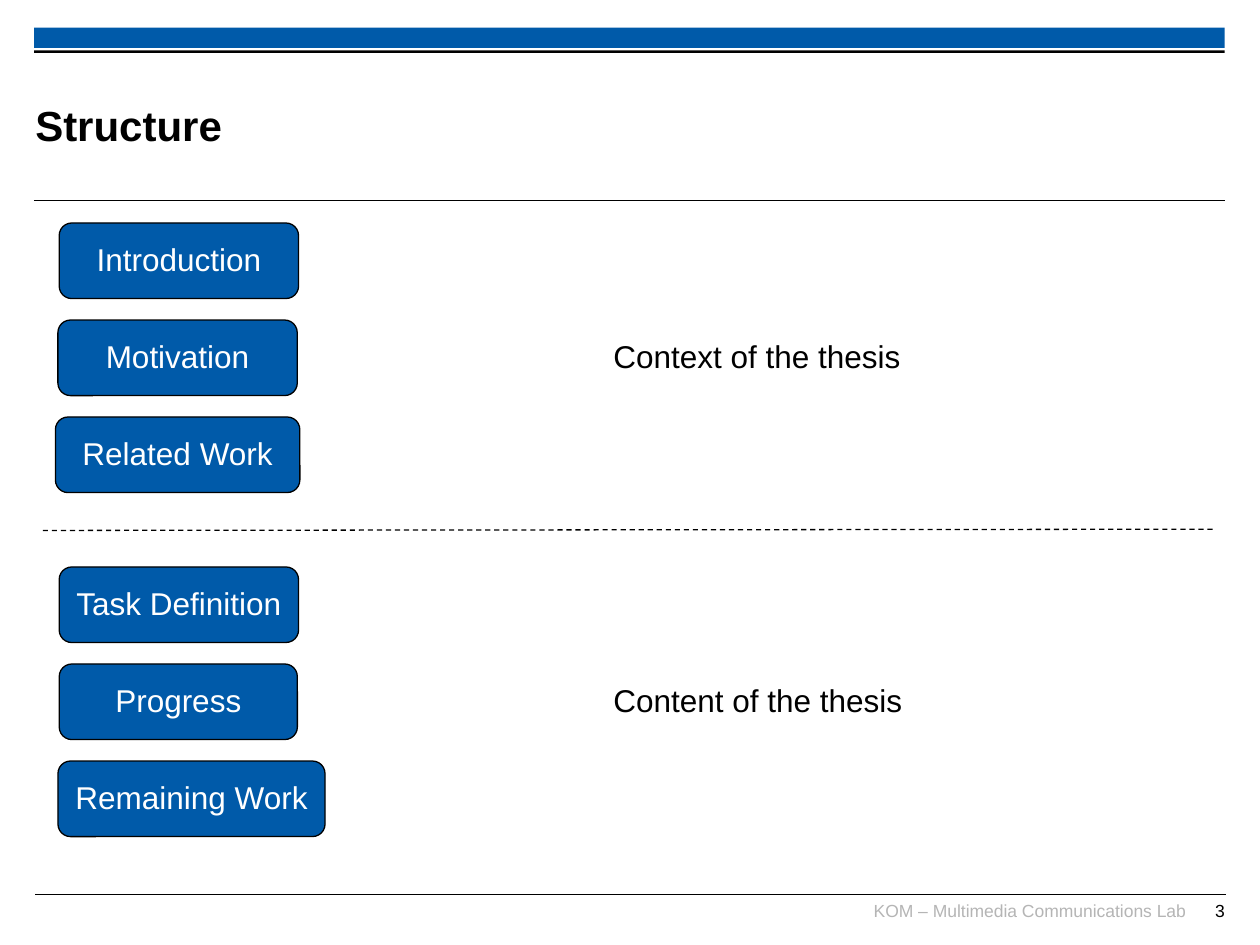
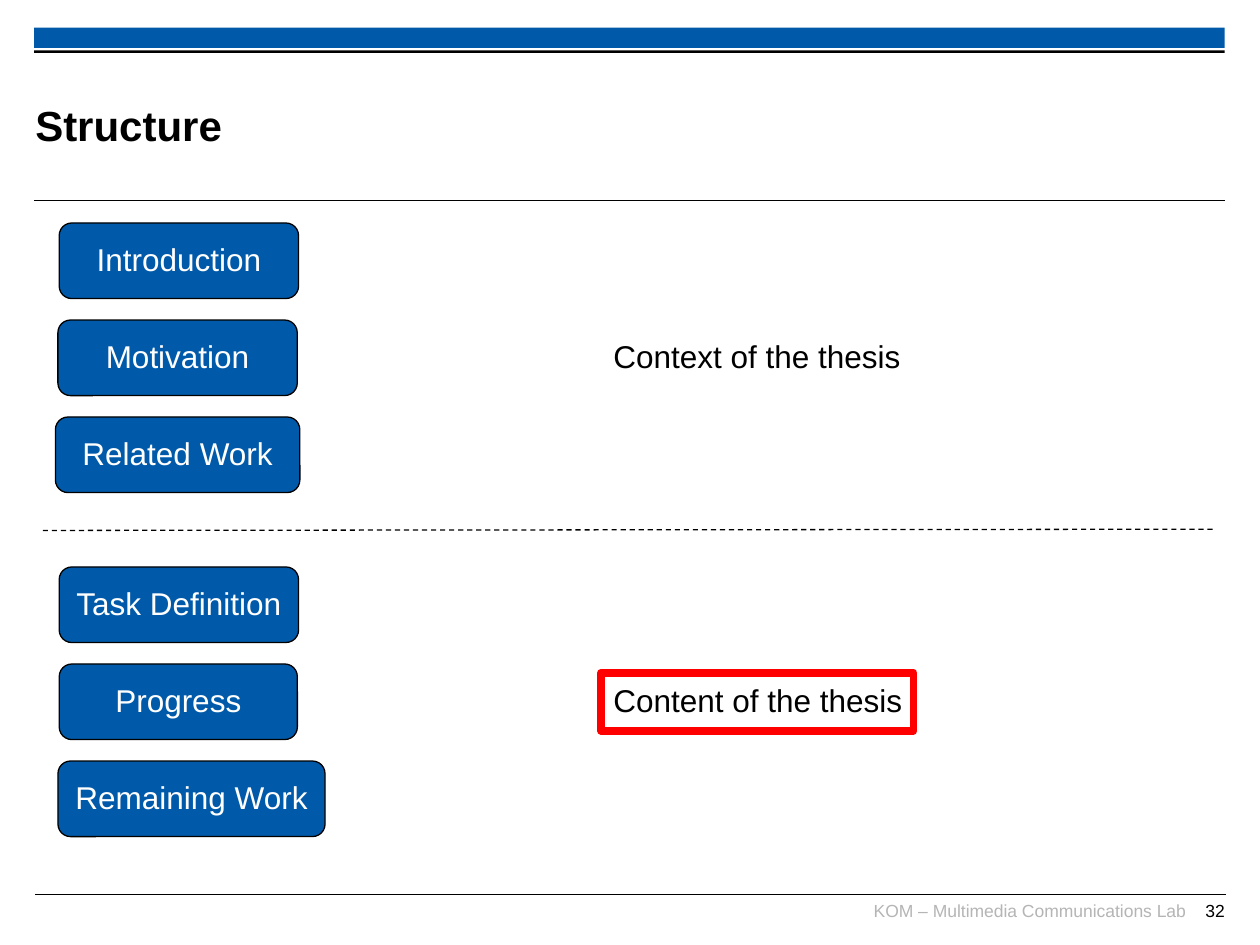
from dataclasses import dataclass

from lxml import etree
from pptx import Presentation, util as u
from pptx.dml.color import RGBColor
from pptx.enum import dml, shapes, text
from pptx.oxml.ns import qn

# Content
TITLE = "Structure"
LAB = "KOM – Multimedia Communications Lab"
# Each part: label, top of its first box, boxes as (name, left, width)
PARTS = [
    ("Context of the thesis", 1.77,
     [("Introduction", 0.47, 1.9), ("Motivation", 0.46, 1.9),
      ("Related Work", 0.44, 1.94)]),
    ("Content of the thesis", 4.5,
     [("Task Definition", 0.47, 1.9), ("Progress", 0.47, 1.89),
      ("Remaining Work", 0.46, 2.12)]),
]
# Each slide: page number, index of the framed part
SLIDES = [(3, None), (32, 1)]


@dataclass(frozen=True)
class Theme:
    font: str = "Arial"
    blue: str = "005AA9"
    black: str = "000000"
    white: str = "FFFFFF"
    grey: str = "B5B5B5"
    red: str = "FF0000"
    head: int = 24
    body: int = 18
    foot: int = 10
    rule: float = 0.6
    edge: float = 0.75
    frame: float = 4.5


T = Theme()
WIDE, HIGH = 10, 7.5
LEFT, SPAN = 0.27, 9.45
STEP, BOX = 0.77, 0.6
LABEL = 4.77
ALIGN = text.PP_ALIGN
KIND = shapes.MSO_SHAPE


def rgb(code):
    return RGBColor.from_string(code)


def write(shape, words, size, color, align=ALIGN.LEFT, bold=False,
          inset=None, space=None, wrap=True, mid=False):
    frame = shape.text_frame
    frame.text = words
    frame.word_wrap = wrap
    frame.vertical_anchor = (
        text.MSO_ANCHOR.MIDDLE if mid else text.MSO_ANCHOR.TOP)
    if inset is not None:
        frame.margin_left = frame.margin_right = u.Inches(inset)
        frame.margin_top = frame.margin_bottom = u.Inches(inset)
    para = frame.paragraphs[0]
    para.alignment = align
    if space:
        para.line_spacing = space
    font = para.runs[0].font
    font.name, font.size, font.bold = T.font, u.Pt(size), bold
    font.color.rgb = rgb(color)


def label(slide, at, words, size, color, **style):
    box = slide.shapes.add_textbox(*map(u.Inches, at))
    write(box, words, size, color, **style)


def block(slide, kind, at, fill=None, line=None, width=T.edge):
    shape = slide.shapes.add_shape(kind, *map(u.Inches, at))
    shape.shadow.inherit = False
    if fill:
        shape.fill.solid()
        shape.fill.fore_color.rgb = rgb(fill)
    else:
        shape.fill.background()
    if line:
        shape.line.color.rgb = rgb(line)
        shape.line.width = u.Pt(width)
    else:
        shape.line.fill.background()
    return shape


def rule(slide, ends, width, dash=False):
    line = slide.shapes.add_connector(
        shapes.MSO_CONNECTOR.STRAIGHT, *map(u.Inches, ends))
    line.line.color.rgb = rgb(T.black)
    line.line.width = u.Pt(width)
    if dash:
        line.line.dash_style = dml.MSO_LINE.DASH
    etree.SubElement(line._element.spPr, qn("a:effectLst"))


def base(slide, page):
    # Head band and rules
    block(slide, KIND.RECTANGLE, (LEFT, 0.22, SPAN, 0.16), T.blue)
    block(slide, KIND.RECTANGLE, (LEFT, 0.4, SPAN, 0.02), T.black)
    for x, y in [(LEFT, 1.59), (LEFT + 0.01, 7.1)]:
        rule(slide, (x, y, x + SPAN, y), T.rule)
    # Footer
    for at, words, color in [((6.81, 7.14, 2.6, 0.25), LAB, T.grey),
                             ((9.29, 7.14, 0.43, 0.24), str(page), T.black)]:
        label(slide, at, words, T.foot, color, align=ALIGN.RIGHT, inset=0)
    # Title
    title = slide.shapes.title
    title.left, title.top = u.Inches(0.28), u.Inches(0.53)
    title.width, title.height = u.Inches(7.52), u.Inches(0.92)
    write(title, TITLE, T.head, T.black, bold=True, inset=0, mid=True)


def outline(slide, framed):
    for i, (name, top, boxes) in enumerate(PARTS):
        # Stack of topics
        for row, (topic, x, wide) in enumerate(boxes):
            box = block(slide, KIND.ROUNDED_RECTANGLE,
                        (x, top + row * STEP, wide, BOX), T.blue, T.black)
            write(box, topic, T.body, T.white, align=ALIGN.CENTER,
                  space=0.93, wrap=False, mid=True)
        # Name of the part, beside its middle box
        side = top + STEP + 0.11
        label(slide, (LABEL, side, 3.6, 0.38), name, T.body, T.black,
              space=0.93)
        if i == framed:
            block(slide, KIND.RECTANGLE, (LABEL, side - 0.04, 2.48, 0.46),
                  line=T.red, width=T.frame)
    # Divider between the parts
    rule(slide, (0.34, 4.21, 9.63, 4.2), T.edge, dash=True)


def main():
    deck = Presentation()
    deck.slide_width, deck.slide_height = u.Inches(WIDE), u.Inches(HIGH)
    for page, framed in SLIDES:
        slide = deck.slides.add_slide(deck.slide_layouts[5])
        base(slide, page)
        outline(slide, framed)
    deck.save("out.pptx")


if __name__ == "__main__":
    main()
